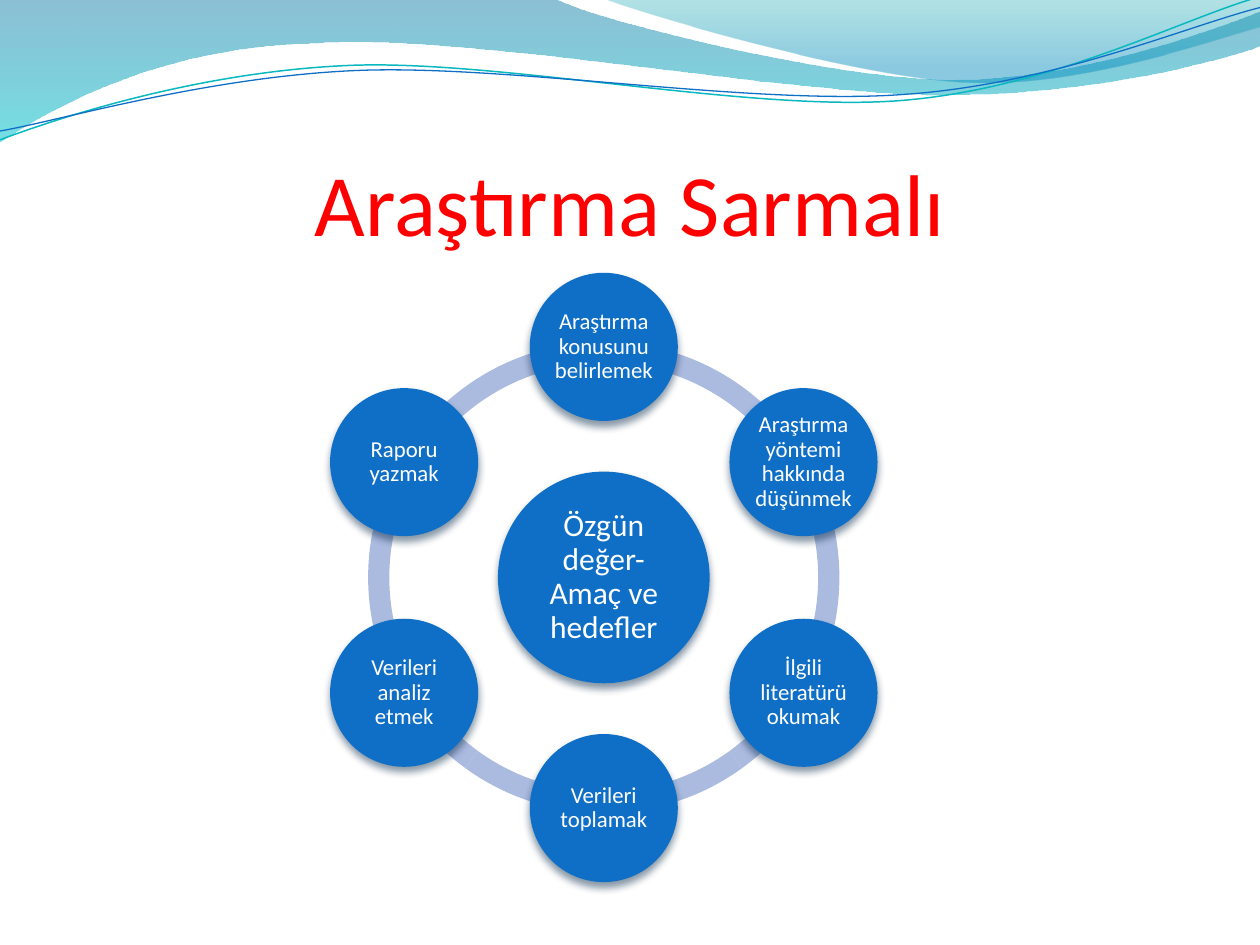
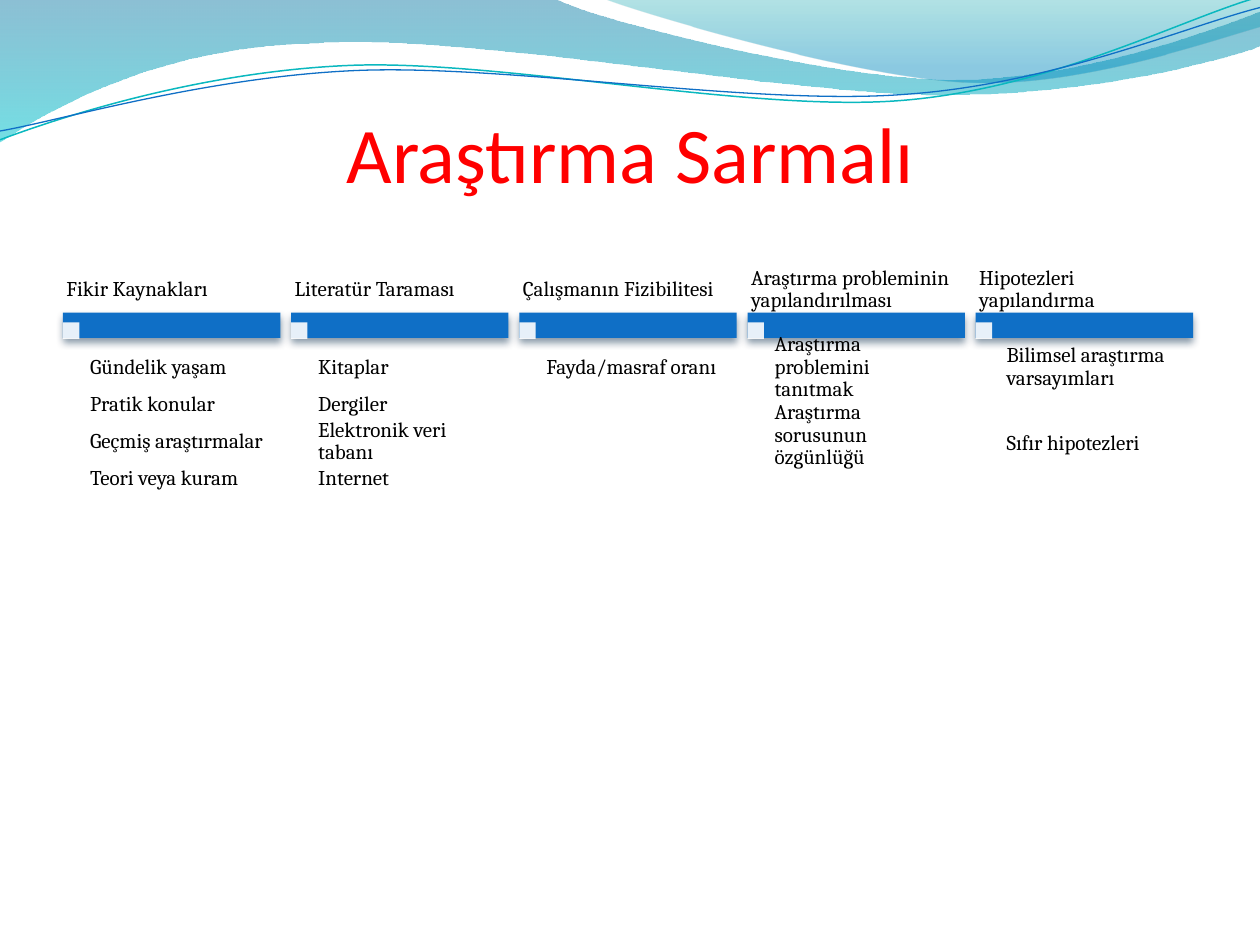
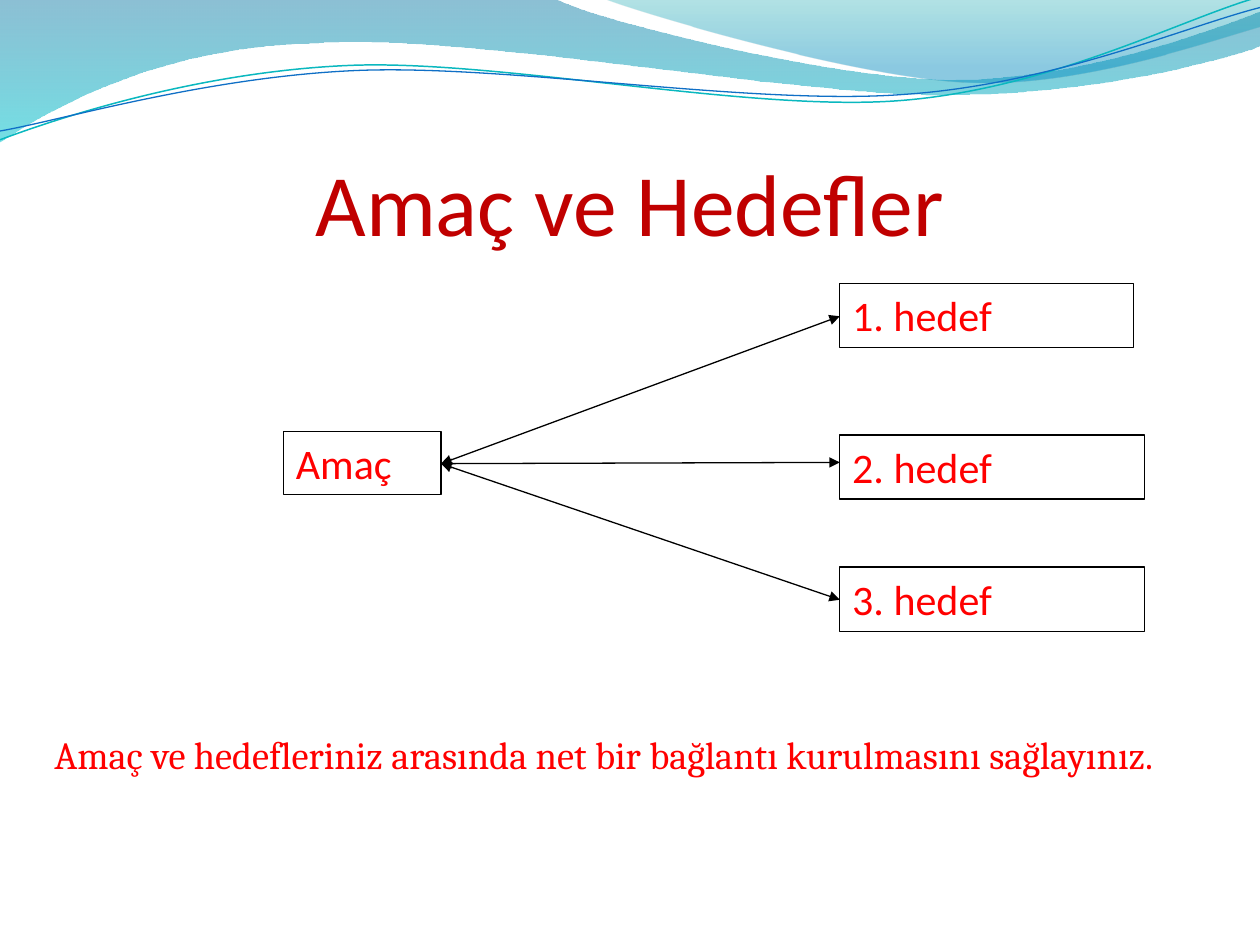
from math import cos, radians, sin

from lxml import etree
from pptx import Presentation
from pptx.dml.color import RGBColor
from pptx.enum.shapes import MSO_CONNECTOR, MSO_SHAPE
from pptx.enum.text import MSO_ANCHOR, MSO_AUTO_SIZE, PP_ALIGN
from pptx.oxml.ns import qn
from pptx.util import Inches, Pt

LEFT, MID = PP_ALIGN.LEFT, PP_ALIGN.CENTER
TOP, CORE, BASE = MSO_ANCHOR.TOP, MSO_ANCHOR.MIDDLE, MSO_ANCHOR.BOTTOM
GROW = MSO_AUTO_SIZE.SHAPE_TO_FIT_TEXT
RECT, OVAL, ARC = MSO_SHAPE.RECTANGLE, MSO_SHAPE.OVAL, MSO_SHAPE.BLOCK_ARC
STRAIGHT = MSO_CONNECTOR.STRAIGHT

WIDTH, HEIGHT = Inches(10), Inches(7.5)
COLS, ROWS = 100, 75
SANS, SERIF = "Calibri", "Cambria"
INK = {
    "blue": "0F6FC6", "teal": "0AB8BF", "ring": "ABBBDF", "shade": "042747",
    "red": "FF0000", "wine": "C00000", "black": "000000", "white": "FFFFFF",
    "sea": "0074A1", "aqua": "00C6CF", "mint": "00A1A9", "sky": "008BBF",
}

BANDS = [
    ([(0, 0), (44, -.1), (47.6, 1.7, 66.4, 6.3, 75.8, 6.3),
      (85.3, 6.3, 95.8, 2.6, 100, .9), (100.1, 3.6),
      (98.3, 4.4, 87, 7.6, 74.6, 7.5), (62.2, 7.5, 38.2, 2.8, 25.7, 3.4),
      (12.9, 3.6, 4.6, 8.3, -.1, 11.3), (0, 0)],
     [(0, "sea", 45), (1, "aqua", 55)]),
    ([(47.9, -.1), (50.9, 1.1, 68.2, 6.2, 76.9, 6.5),
      (85.6, 6.9, 96.1, 3.2, 100, 2.1), (100, 0), (47.9, -.1)],
     [(0, "mint", 30), (.8, "sky", 45)]),
]
LINES = [
    ([(0, 11.1), (4.8, 9.3, 15.8, 5.7, 27.7, 5.2),
      (39.5, 4.7, 59.3, 8.9, 71.3, 8), (83.3, 7.1, 93.8, 1.5, 99.8, -.2)],
     "teal", .85),
    ([(0, 10.4), (4.7, 9.6, 16.4, 6.1, 28.3, 5.6),
      (40.3, 5.1, 59.7, 8.4, 71.7, 7.5), (83.6, 6.7, 94.1, 2.1, 100, .6)],
     "blue", .75),
]


def across(n):
    return round(n * WIDTH / COLS)


def down(n):
    return round(n * HEIGHT / ROWS)


def tint(name):
    return RGBColor.from_string(INK[name])


def add(parent, tag, **attrs):
    return etree.SubElement(parent, qn(tag), attrs)


def fade(node, share):
    add(node, "a:alpha", val=str(share * 1000))


def bend(shape, path):
    nodes = list(shape.element.iter(qn("a:lnTo")))
    for node, part in zip(nodes, path[1:]):
        if len(part) == 2:
            continue
        node.tag = qn("a:cubicBezTo")
        node.remove(node[0])
        for x, y in zip(part[::2], part[1::2]):
            add(node, "a:pt", x=str(across(x) - shape.left),
                y=str(down(y) - shape.top))


def write(shape, text, size=12, font=SERIF, color="black", align=LEFT,
          anchor=CORE, inset=(1, .5, 1, .5), lead=None, grow=False):
    frame = shape.text_frame
    frame.word_wrap = True
    frame.vertical_anchor = anchor
    if grow:
        frame.auto_size = GROW
    frame.margin_left, frame.margin_right = across(inset[0]), across(inset[2])
    frame.margin_top, frame.margin_bottom = down(inset[1]), down(inset[3])
    para = frame.paragraphs[0]
    para.alignment = align
    if lead:
        para.line_spacing = lead
    run = para.add_run()
    run.text = text
    run.font.size, run.font.name = Pt(size), font
    run.font.color.rgb = tint(color)


class Deck:
    def __init__(self):
        self.file = Presentation()
        self.file.slide_width, self.file.slide_height = WIDTH, HEIGHT
        self.blank = self.file.slide_layouts[6]
        self.slide = None

    def page(self, title, size=50, high=12.45, color="red"):
        first = self.slide is None
        self.slide = self.file.slides.add_slide(self.blank)
        if first:
            self.waves()
        self.label(title, 5, 7.7, 90, high, size=size, font=SANS, color=color,
                   align=MID, anchor=BASE, inset=(0, .5, 0, 0))

    def waves(self):
        shapes = [self.band(*item) for item in BANDS]
        shapes += [self.curve(*item) for item in LINES]
        for shape in shapes:
            self.blank.shapes.element.append(shape.element)

    def free(self, path, close):
        ends = [(across(part[-2]), down(part[-1])) for part in path]
        pen = self.slide.shapes.build_freeform(*ends[0], scale=1.0)
        pen.add_line_segments(ends[1:], close=close)
        shape = pen.convert_to_shape()
        shape.shadow.inherit = False
        bend(shape, path)
        return shape

    def band(self, path, stops):
        shape = self.free(path, True)
        shape.line.fill.background()
        shape.fill.gradient()
        shape.fill.gradient_angle = 270
        for stop, (place, name, share) in zip(shape.fill.gradient_stops, stops):
            stop.position = place
            stop.color.rgb = tint(name)
        for node, stop in zip(shape.element.iter(qn("a:gs")), stops):
            fade(node[0], stop[2])
        return shape

    def curve(self, path, color, width):
        shape = self.free(path, False)
        shape.fill.background()
        shape.line.color.rgb = tint(color)
        shape.line.width = Pt(width)
        return shape

    def form(self, kind, x, y, w, h, fill=None, line=None, share=None,
             shade=False):
        shape = self.slide.shapes.add_shape(
            kind, across(x), down(y), across(w), down(h))
        shape.shadow.inherit = False
        if fill:
            shape.fill.solid()
            shape.fill.fore_color.rgb = tint(fill)
        else:
            shape.fill.background()
        if line:
            shape.line.color.rgb = tint(line)
            shape.line.width = Pt(.75)
        else:
            shape.line.fill.background()
        if share:
            fade(shape.element.spPr.find(qn("a:solidFill"))[0], share)
        if shade:
            glow = add(shape.element.spPr.find(qn("a:effectLst")),
                       "a:outerShdw", blurRad=str(Pt(4.5)), dist=str(Pt(3)),
                       dir="5400000", rotWithShape="0")
            fade(add(glow, "a:srgbClr", val=INK["shade"]), 48)
        return shape

    def label(self, text, x, y, w, h, **style):
        box = self.slide.shapes.add_textbox(
            across(x), down(y), across(w), down(h))
        write(box, text, **style)

    def disc(self, text, x, y, wide, size, pad):
        shape = self.form(OVAL, x - wide / 2, y - wide / 2, wide, wide,
                          fill="blue", shade=True)
        write(shape, text, size=size, font=SANS, color="white", align=MID,
              inset=(pad,) * 4, lead=.9)

    def arc(self, x, y, wide, start, end):
        shape = self.form(ARC, x - wide / 2, y - wide / 2, wide, wide,
                          fill="ring")
        for spot, value in enumerate((start * .6, end * .6, .045)):
            shape.adjustments[spot] = value

    def chip(self, x, y, share=None):
        self.form(RECT, x, y, 1.3, 1.3, fill="white", share=share)

    def box(self, text, x, y, w, h):
        shape = self.form(RECT, x, y, w, h, line="black")
        write(shape, text, size=24, font=SANS, color="red", anchor=TOP,
              grow=True)

    def arrow(self, x, y, to_x, to_y):
        line = self.slide.shapes.add_connector(
            STRAIGHT, across(x), down(y), across(to_x), down(to_y))
        line.line.color.rgb = tint("black")
        line.line.width = Pt(.75)
        prop = line.element.spPr
        for tag in ("a:headEnd", "a:tailEnd"):
            add(prop.find(qn("a:ln")), tag, type="triangle")
        add(prop, "a:effectLst")


def cycle(deck):
    deck.page("Araştırma Sarmalı")
    x, y, reach = 47.92, 45.83, 18.3
    joints = [162, 126, 90, 54, 18, 198, 162]
    for end, start in zip(joints, joints[1:]):
        deck.arc(x, y, 37.4, start, end)
    deck.disc("Özgün değer-Amaç ve hedefler", x, y, 16.8, 18, .3)
    steps = [
        "Araştırma konusunu belirlemek",
        "Araştırma yöntemi hakkında düşünmek",
        "İlgili literatürü okumak",
        "Verileri toplamak",
        "Verileri analiz etmek",
        "Raporu yazmak",
    ]
    for spot, text in enumerate(steps):
        turn = radians(360 / len(steps) * spot - 90)
        deck.disc(text, x + reach * cos(turn), y + reach * sin(turn),
                  11.75, 13, .2)


def stages(deck):
    deck.page("Araştırma Sarmalı", size=45, high=8.1)
    stage = [
        ("Fikir Kaynakları", 0, 2.95, 2.95,
         ["Gündelik yaşam", "Pratik konular", "Geçmiş araştırmalar",
          "Teori veya kuram"]),
        ("Literatür Taraması", 0, 2.95, 2.95,
         ["Kitaplar", "Dergiler", "Elektronik veri tabanı", "Internet"]),
        ("Çalışmanın Fizibilitesi", 0, 2.95, 2.95, ["Fayda/masraf oranı"]),
        ("Araştırma probleminin yapılandırılması", 0, 5.4, 4.9,
         ["Araştırma problemini tanıtmak", "Araştırma sorusunun özgünlüğü"]),
        ("Hipotezleri yapılandırma", .3, 6.1, 5.7,
         ["Bilimsel araştırma varsayımları", "Sıfır hipotezleri"]),
    ]
    for spot, (head, shift, pitch, gap, items) in enumerate(stage):
        x = 5 + 18.11 * spot
        deck.form(RECT, x, 24.82, 17.25, 2, fill="blue", shade=True)
        deck.chip(x, 25.6, share=90)
        deck.label(head, x, 21.2, 17.25, 3.6, inset=(.28, .2, .28, .2),
                   lead=.9)
        for row, text in enumerate(items):
            deck.chip(x + shift, 28.5 + gap * row)
            deck.label(text, x + shift + 1.25, 27.65 + pitch * row, 16, 3,
                       inset=(.9,) * 4, lead=.9)


def goals(deck):
    deck.page("Amaç ve Hedefler", color="wine")
    deck.box("Amaç", 22.5, 34.25, 12.5, 5)
    for end in (25.1, 36.7, 47.6):
        deck.arrow(35, 36.8, 66.65, end)
    for spot, (y, wide) in enumerate([(22.5, 23.3), (34.52, 24.2), (45, 24.2)]):
        deck.box(f"{spot + 1}. hedef", 66.65, y, wide, 5.1)
    deck.label("Amaç ve hedefleriniz arasında net bir bağlantı kurulmasını "
               "sağlayınız.", 3.33, 57.5, 96.1, 4.7, size=22, color="red",
               anchor=TOP, grow=True)


deck = Deck()
for make in (cycle, stages, goals):
    make(deck)
deck.file.save("out.pptx")
